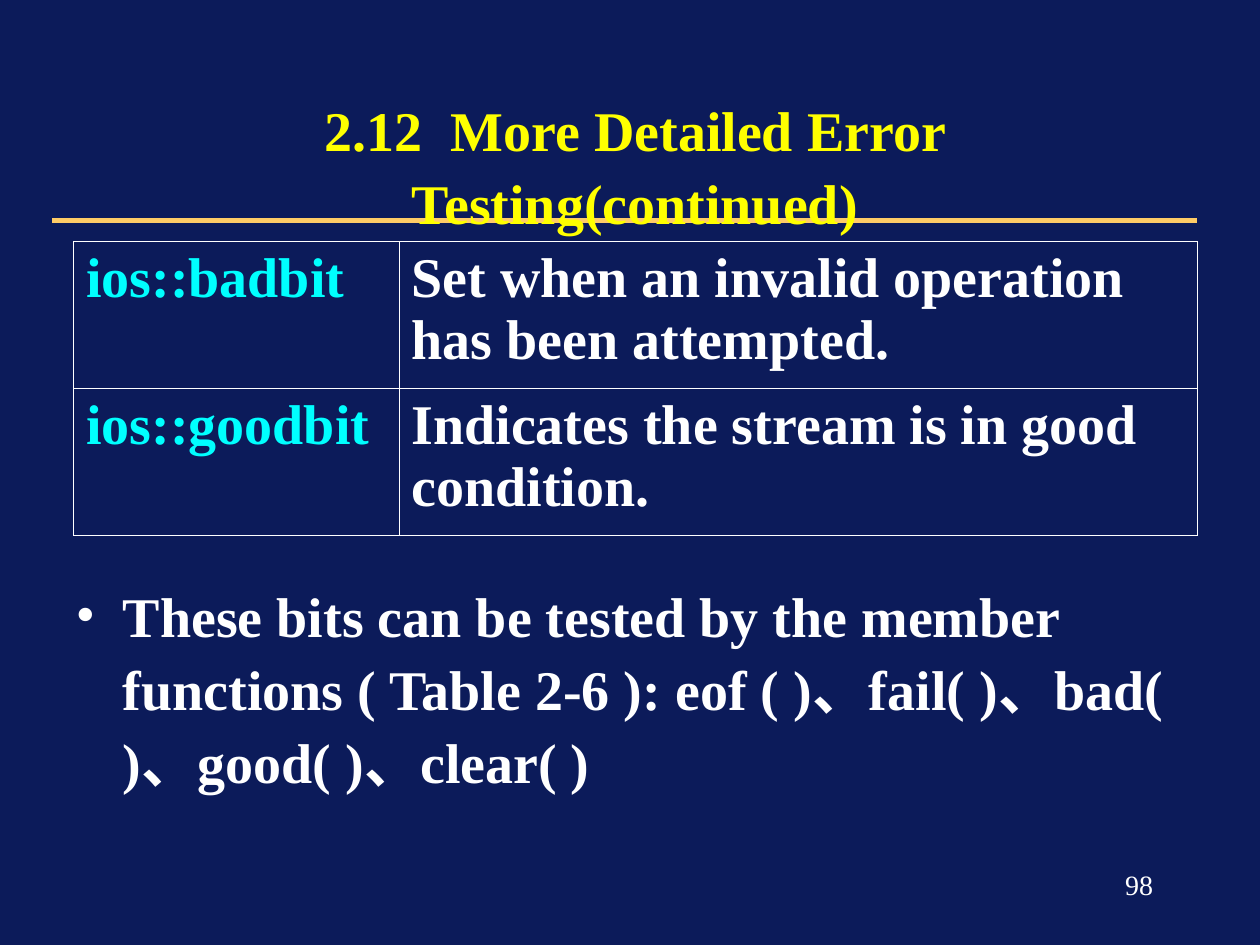
import pptx
import pptx.util
import pptx.dml.color
import pptx.enum.shapes
import pptx.enum.text
import pptx.oxml
import pptx.oxml.ns

Pt = pptx.util.Pt
Align = pptx.enum.text.PP_ALIGN
Anchor = pptx.enum.text.MSO_ANCHOR

HUES = {"back": "0C1B5A", "rule": "FFCC66", "title": "FFFF00",
        "name": "00FFFF", "text": "FFFFFF"}
FONT = "Times New Roman"

TITLE = "2.12  More Detailed Error Testing(continued)"
ROWS = [
    ("ios::badbit", "Set when an invalid operation has been attempted."),
    ("ios::goodbit", "Indicates the stream is in good condition."),
]
NOTE = ("These bits can be tested by the member functions ( Table 2-6 ): "
        "eof ( )、fail( )、bad( )、good( )、clear( )")
PAGE = "98"

COLS = (186, 456)
ROW_H = 84


def color(key):
    return pptx.dml.color.RGBColor.from_string(HUES[key])


def xml(tag, inner, attrs=""):
    space = pptx.oxml.ns.nsdecls("a")
    return pptx.oxml.parse_xml(f"<a:{tag} {space} {attrs}>{inner}</a:{tag}>")


def solid(key):
    return f'<a:solidFill><a:srgbClr val="{HUES[key]}"/></a:solidFill>'


def write(frame, text, key="text", size=32, bold=True, align=Align.LEFT,
          lead=None, bullet=False):
    """Fill a text frame with one paragraph; lead is its line spacing."""
    frame.word_wrap = True
    para = frame.paragraphs[0]
    if bullet:
        props = para._p.get_or_add_pPr()
        props.set("marL", str(Pt(27)))
        props.set("indent", str(-Pt(27)))
        props.append(xml("buClr", f'<a:srgbClr val="{HUES[key]}"/>'))
        props.append(xml("buFont", "", f'typeface="{FONT}"'))
        props.append(xml("buChar", "", 'char="•"'))
    para.alignment = align
    para.space_before = Pt(0)
    if lead:
        para.line_spacing = lead
    run = para.add_run()
    run.text = text
    font = run.font
    font.name, font.size, font.bold = FONT, Pt(size), bold
    font.color.rgb = color(key)


def place(shape, left, top, width, height, anchor=Anchor.TOP):
    shape.left, shape.top = Pt(left), Pt(top)
    shape.width, shape.height = Pt(width), Pt(height)
    frame = shape.text_frame
    frame.auto_size = pptx.enum.text.MSO_AUTO_SIZE.NONE
    frame.vertical_anchor = anchor
    return frame


def add_rule(slide):
    kind = pptx.enum.shapes.MSO_CONNECTOR.STRAIGHT
    rule = slide.shapes.add_connector(kind, Pt(30), Pt(126), Pt(684), Pt(126))
    rule.line.color.rgb = color("rule")
    rule.line.width = Pt(3)
    rule._element.spPr.append(xml("effectLst", ""))
    slide.shapes._spTree.insert(2, rule._element)  # behind the title


def add_bits(slide):
    table = slide.shapes.add_table(
        len(ROWS), len(COLS), Pt(42), Pt(138),
        Pt(sum(COLS)), Pt(ROW_H * len(ROWS))).table
    table.first_row = table.horz_banding = False
    for col, width in zip(table.columns, COLS):
        col.width = Pt(width)
    for row, texts in zip(table.rows, ROWS):
        row.height = Pt(ROW_H)
        for cell, text, key in zip(row.cells, texts, ("name", "text")):
            cell.fill.background()
            write(cell.text_frame, text, key)
            props = cell._tc.get_or_add_tcPr()
            for spot, side in enumerate(("lnL", "lnR", "lnT", "lnB")):
                edge = xml(side, solid("text"), f'w="{Pt(0.45)}"')
                props.insert(spot, edge)


def main():
    deck = pptx.Presentation()
    deck.slide_width, deck.slide_height = Pt(720), Pt(540)
    slide = deck.slides.add_slide(deck.slide_layouts[1])
    slide.background.fill.solid()
    slide.background.fill.fore_color.rgb = color("back")

    add_rule(slide)
    title, body = slide.placeholders
    write(place(title, 48, 48, 630, 90, Anchor.MIDDLE), TITLE, "title",
          align=Align.CENTER, lead=1.09)
    write(place(body, 36, 325, 642, 137), NOTE, lead=1.09, bullet=True)
    add_bits(slide)
    page = slide.shapes.add_textbox(0, 0, 0, 0)
    write(place(page, 516, 492, 150, 36), PAGE, size=16, bold=False,
          align=Align.RIGHT)
    deck.save("out.pptx")


if __name__ == "__main__":
    main()
